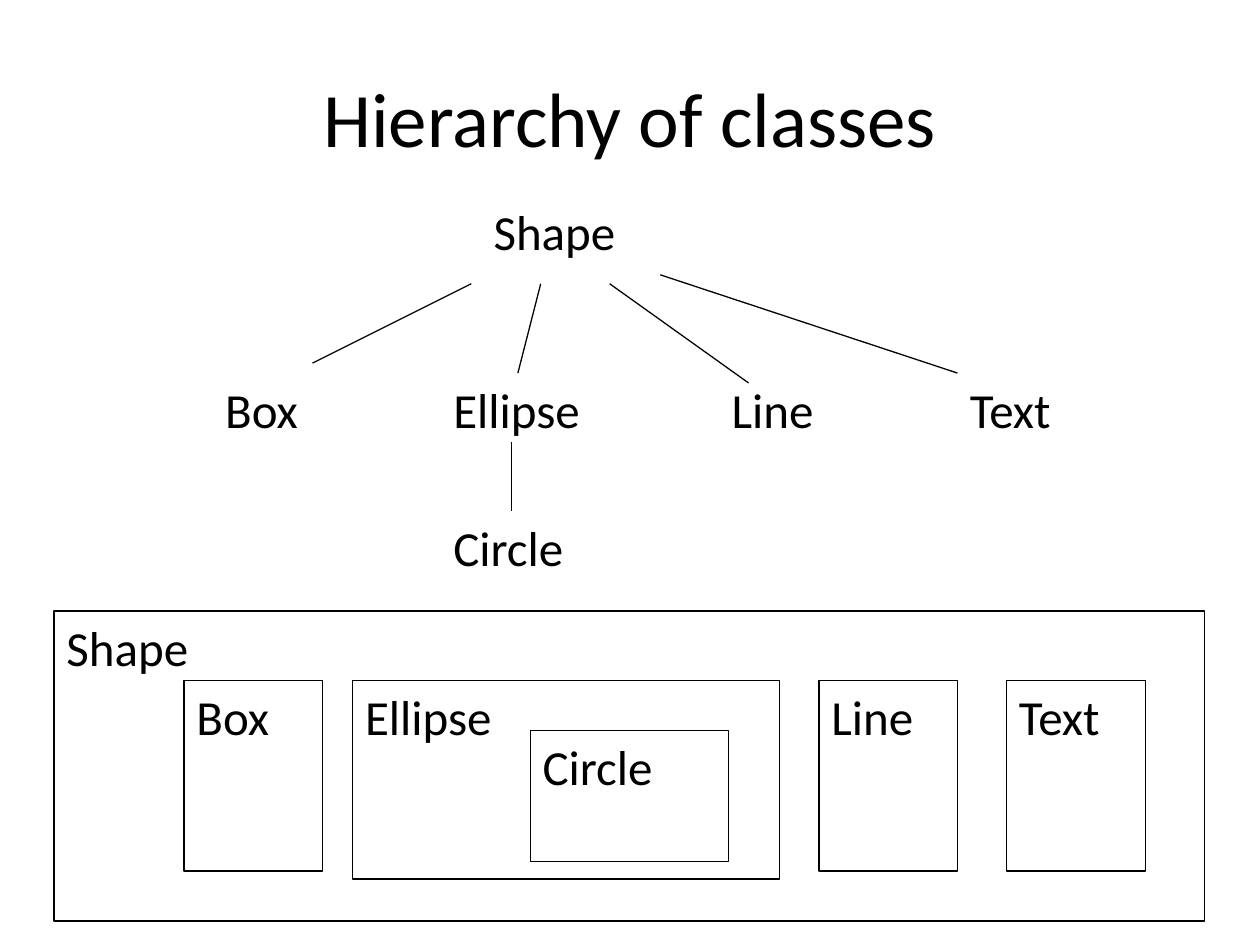
from lxml import etree
from pptx import Presentation
from pptx.dml.color import RGBColor
from pptx.enum.shapes import MSO_CONNECTOR, MSO_SHAPE
from pptx.enum.text import MSO_ANCHOR, PP_ALIGN
from pptx.oxml.ns import qn
from pptx.util import Cm, Pt

BLACK = RGBColor(0x00, 0x00, 0x00)
FONT = "Calibri"
LINE_WIDTH = Pt(0.75)
STRAIGHT = MSO_CONNECTOR.STRAIGHT
RECTANGLE = MSO_SHAPE.RECTANGLE
TOP, MIDDLE = MSO_ANCHOR.TOP, MSO_ANCHOR.MIDDLE
LEFT, CENTER = PP_ALIGN.LEFT, PP_ALIGN.CENTER


def write_text(shape, text, size=28, align=LEFT, anchor=TOP, wrap=True):
    frame = shape.text_frame
    frame.word_wrap = wrap
    frame.vertical_anchor = anchor
    paragraph = frame.paragraphs[0]
    paragraph.text = text
    paragraph.alignment = align
    paragraph.font.name = FONT
    paragraph.font.size = Pt(size)
    paragraph.font.color.rgb = BLACK


presentation = Presentation()
presentation.slide_width = Cm(25.4)
presentation.slide_height = Cm(19.05)
slide = presentation.slides.add_slide(presentation.slide_layouts[5])

# Title
title = slide.shapes.title
title.left, title.top, title.width, title.height = Cm(1.27), Cm(0.76), Cm(22.86), Cm(3.18)
write_text(title, "Hierarchy of classes", size=44, align=CENTER, anchor=MIDDLE)

# Class names in the tree: name, left, top, width
ROOT_TOP, CHILD_TOP, GRANDCHILD_TOP = 3.94, 7.52, 10.31
tree_labels = [
    ("Shape", 9.7, ROOT_TOP, 3.0),
    ("Box", 4.29, CHILD_TOP, 2.01),
    ("Ellipse", 8.89, CHILD_TOP, 3.1),
    ("Line", 14.5, CHILD_TOP, 2.18),
    ("Text", 19.3, CHILD_TOP, 2.16),
    ("Circle", 8.89, GRANDCHILD_TOP, 2.74),
]
for name, left, top, width in tree_labels:
    label = slide.shapes.add_textbox(Cm(left), Cm(top), Cm(width), Cm(1.45))
    write_text(label, name, wrap=False)

# Branches from parent to child: start x, start y, end x, end y
branches = [
    (9.5, 5.72, 6.3, 7.32),
    (10.9, 5.72, 10.44, CHILD_TOP),
    (12.29, 5.72, 15.09, 7.72),
    (13.31, 5.54, 19.3, CHILD_TOP),
    (10.31, 8.92, 10.31, GRANDCHILD_TOP),
]
for branch in branches:
    connector = slide.shapes.add_connector(STRAIGHT, *map(Cm, branch))
    connector.line.color.rgb = BLACK
    connector.line.width = LINE_WIDTH
    etree.SubElement(connector._element.spPr, qn("a:effectLst"))

# Nested boxes: name, left, top, width, height
INNER_TOP = 13.72
nested_boxes = [
    ("Box", 3.71, INNER_TOP, 2.8, 3.84),
    ("Ellipse", 7.11, INNER_TOP, 8.61, 4.0),
    ("Line", 16.51, INNER_TOP, 2.8, 3.84),
    ("Text", 20.29, INNER_TOP, 2.8, 3.84),
    ("Circle", 10.69, 14.73, 4.0, 2.64),
    ("Shape", 1.09, 12.32, 23.2, 6.25),
]
for name, *bounds in nested_boxes:
    box = slide.shapes.add_shape(RECTANGLE, *map(Cm, bounds))
    box.shadow.inherit = False
    box.fill.background()
    box.line.color.rgb = BLACK
    box.line.width = LINE_WIDTH
    write_text(box, name)

presentation.save("out.pptx")
